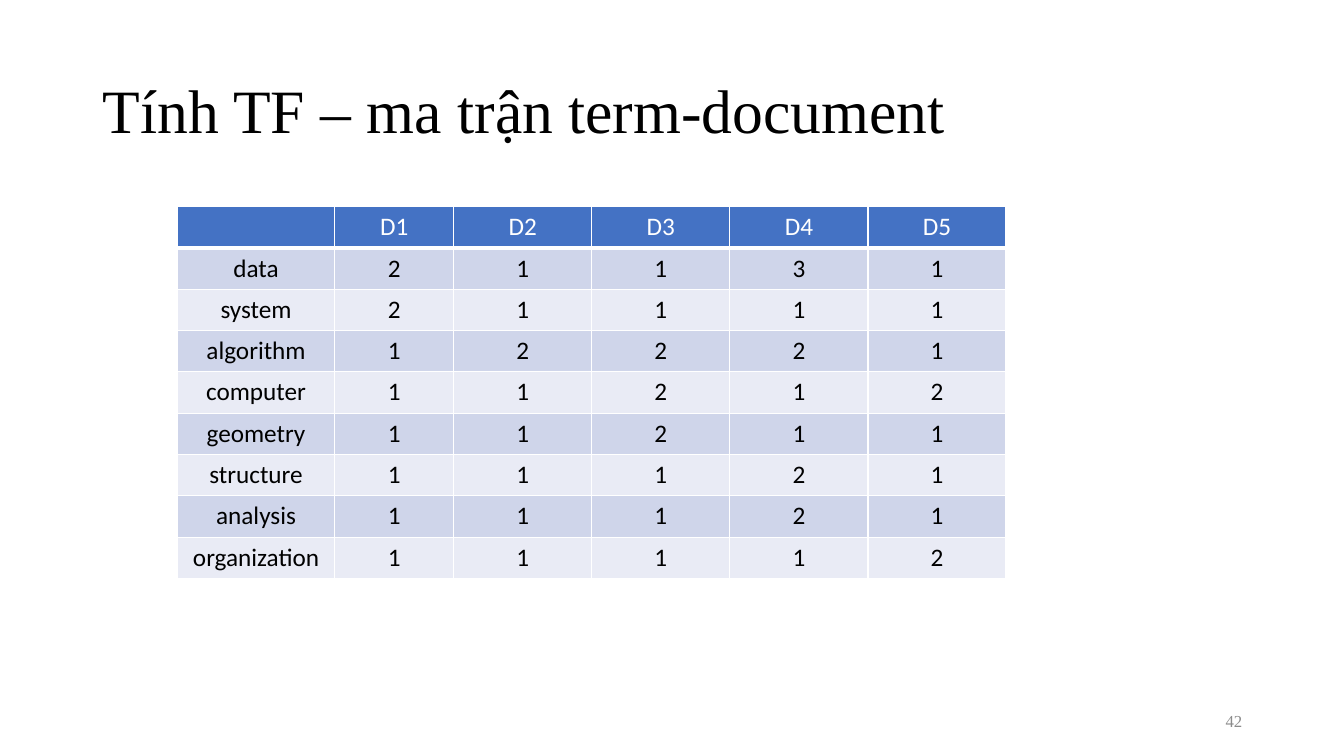
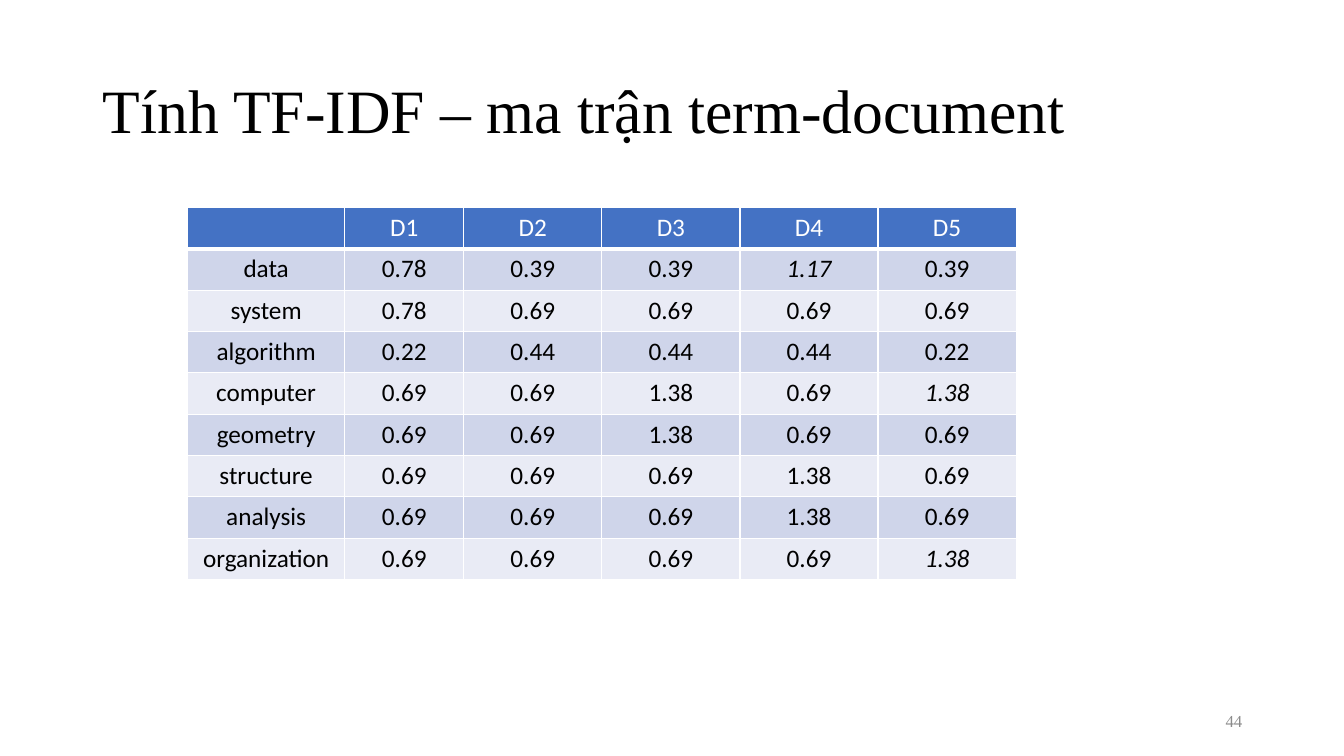
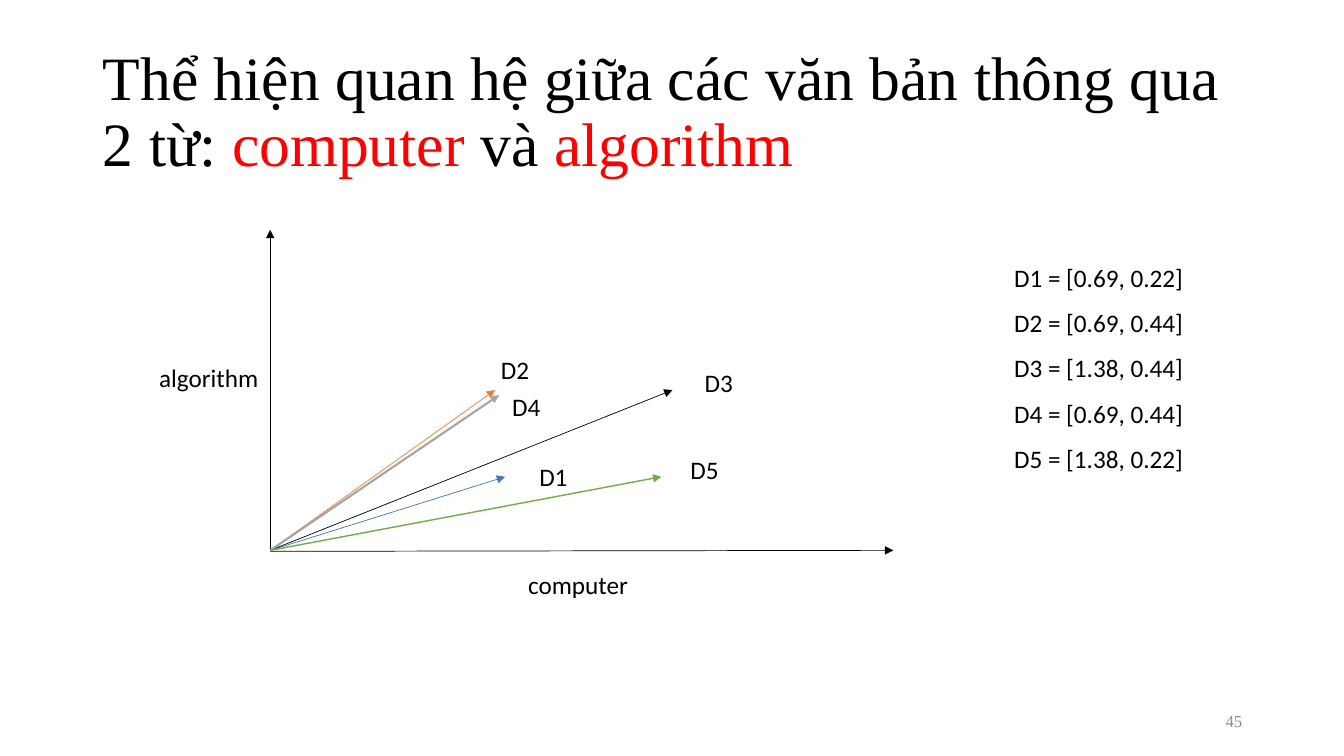
from lxml.etree import SubElement
from pptx import Presentation
from pptx.dml.color import RGBColor
from pptx.enum.shapes import MSO_CONNECTOR
from pptx.enum.text import MSO_ANCHOR, MSO_AUTO_SIZE, PP_ALIGN
from pptx.oxml.ns import qn
from pptx.util import Inches, Pt

SERIF, SANS = "Times New Roman", "Calibri"
BLACK, WHITE, RED, GREY = "000000", "FFFFFF", "FF0000", "8C8C8C"
BLUE, BANDS = "4472C4", ("CFD5EA", "E9EBF5")

DOCS = ["D1", "D2", "D3", "D4", "D5"]
COLS, ROW = [1.56, 1.18, 1.37, 1.37, 1.37, 1.37], 0.41
TF = {
    "data": "2 1 1 3 1",
    "system": "2 1 1 1 1",
    "algorithm": "1 2 2 2 1",
    "computer": "1 1 2 1 2",
    "geometry": "1 1 2 1 1",
    "structure": "1 1 1 2 1",
    "analysis": "1 1 1 2 1",
    "organization": "1 1 1 1 2",
}
TFIDF = {
    "data": "0.78 0.39 0.39 1.17 0.39",
    "system": "0.78 0.69 0.69 0.69 0.69",
    "algorithm": "0.22 0.44 0.44 0.44 0.22",
    "computer": "0.69 0.69 1.38 0.69 1.38",
    "geometry": "0.69 0.69 1.38 0.69 0.69",
    "structure": "0.69 0.69 0.69 1.38 0.69",
    "analysis": "0.69 0.69 0.69 1.38 0.69",
    "organization": "0.69 0.69 0.69 0.69 1.38",
}
ITALIC = {("data", "D4"), ("computer", "D5"), ("organization", "D5")}

TABLES = [
    ("Tính TF – ma trận term-document", 42, TF, (1.76, 2.05), set()),
    ("Tính TF-IDF – ma trận term-document", 44, TFIDF, (1.86, 2.06), ITALIC),
]
PLOT = [
    ("Thể hiện quan hệ giữa các văn bản thông qua 2 từ: ", BLACK),
    ("computer ", RED), ("và ", BLACK), ("algorithm", RED),
]
ZERO = (2.68, 5.46)
AXES = [  # start, tip, name, name corner
    (ZERO, (2.68, 2.28), "algorithm", (1.48, 3.55)),
    ((2.68, 5.47), (8.86, 5.46), "computer", (5.14, 5.6)),
]
RAYS = [  # tip, colour, width, label corner
    ((5.01, 4.73), BLUE, 0.5, (5.25, 4.53)),
    ((4.91, 3.87), "ED7D31", 0.5, (4.87, 3.47)),
    ((6.67, 3.87), BLACK, 0.5, (6.89, 3.59)),
    ((4.95, 3.92), "A5A5A5", 1.5, (4.98, 3.83)),
    ((6.56, 4.73), "70AD47", 1, (6.75, 4.46)),
]


def rgb(code):
    return RGBColor.from_string(code)


def style(font, size, name=SANS, color=BLACK):
    font.size, font.name = Pt(size), name
    font.color.rgb = rgb(color)


def add_text(slide, lines, at, size=18, name=SANS, color=BLACK, align=PP_ALIGN.LEFT,
             gap=1.0, wrap=False, anchor=MSO_ANCHOR.TOP):
    frame = slide.shapes.add_textbox(*map(Inches, at)).text_frame
    frame.word_wrap, frame.vertical_anchor = wrap, anchor
    frame.text = "\n".join(lines)
    for para in frame.paragraphs:
        para.alignment, para.line_spacing = align, gap
        style(para.font, size, name, color)


def add_slide(deck, title, number):
    """Add a slide with its title, given as (text, colour) runs, and its number."""
    slide = deck.slides.add_slide(deck.slide_layouts[5])
    head = slide.shapes.title
    head.left, head.top, head.width, head.height = map(Inches, (0.92, 0.4, 11.5, 1.45))
    frame = head.text_frame
    frame.word_wrap, frame.auto_size = True, MSO_AUTO_SIZE.NONE
    frame.vertical_anchor = MSO_ANCHOR.MIDDLE
    para = frame.paragraphs[0]
    para.alignment, para.line_spacing = PP_ALIGN.LEFT, 0.9
    for text, color in title:
        run = para.add_run()
        run.text = text
        style(run.font, 44, SERIF, color)
    add_text(slide, [str(number)], (9.42, 6.95, 3, 0.4), 12, SERIF, GREY,
             PP_ALIGN.RIGHT, wrap=True, anchor=MSO_ANCHOR.MIDDLE)
    return slide


def add_borders(cell, base):
    props = cell._tc.get_or_add_tcPr()
    for side, width in (("L", 1), ("R", 1), ("T", 1), ("B", base)):
        line = SubElement(props, qn("a:ln" + side), w=str(Pt(width)))
        fill = SubElement(line, qn("a:solidFill"))
        SubElement(fill, qn("a:srgbClr"), val=WHITE)


def add_matrix(slide, terms, corner, italic):
    rows = [["", *DOCS]] + [[term, *vals.split()] for term, vals in terms.items()]
    size = (sum(COLS), ROW * len(rows))
    table = slide.shapes.add_table(len(rows), len(COLS),
                                   *map(Inches, corner + size)).table
    for col, width in zip(table.columns, COLS):
        col.width = Inches(width)
    for r, row in enumerate(rows):
        table.rows[r].height = Inches(ROW)
        for c, text in enumerate(row):
            cell = table.cell(r, c)
            add_borders(cell, 1 if r else 3)
            cell.fill.solid()
            cell.fill.fore_color.rgb = rgb(BANDS[(r - 1) % 2] if r else BLUE)
            cell.text = text
            para = cell.text_frame.paragraphs[0]
            para.alignment = PP_ALIGN.CENTER
            style(para.font, 18, color=BLACK if r else WHITE)
            para.font.bold = False
            para.font.italic = (row[0], rows[0][c]) in italic


def add_arrow(slide, start, tip, color=BLACK, width=0.5):
    arrow = slide.shapes.add_connector(MSO_CONNECTOR.STRAIGHT, *map(Inches, start + tip))
    arrow.line.color.rgb = rgb(color)
    arrow.line.width = Pt(width)
    SubElement(arrow.line._get_or_add_ln(), qn("a:tailEnd"), type="triangle")
    SubElement(arrow._element.spPr, qn("a:effectLst"))


def add_plot(slide):
    for start, tip, name, corner in AXES:
        add_arrow(slide, start, tip)
        add_text(slide, [name], corner + (1.2, 0.4))
    pairs = zip(DOCS, TFIDF["computer"].split(), TFIDF["algorithm"].split())
    add_text(slide, [f"{doc} = [{x}, {y}]" for doc, x, y in pairs],
             (9.96, 2.4, 1.9, 2.33), gap=1.5)
    for doc, (tip, color, width, corner) in zip(DOCS, RAYS):
        add_arrow(slide, ZERO, tip, color, width)
        add_text(slide, [doc], corner + (0.49, 0.4))


def main():
    deck = Presentation()
    deck.slide_width, deck.slide_height = Inches(13.33), Inches(7.5)
    for title, number, terms, corner, italic in TABLES:
        slide = add_slide(deck, [(title, BLACK)], number)
        add_matrix(slide, terms, corner, italic)
    add_plot(add_slide(deck, PLOT, 45))
    deck.save("out.pptx")


if __name__ == "__main__":
    main()
